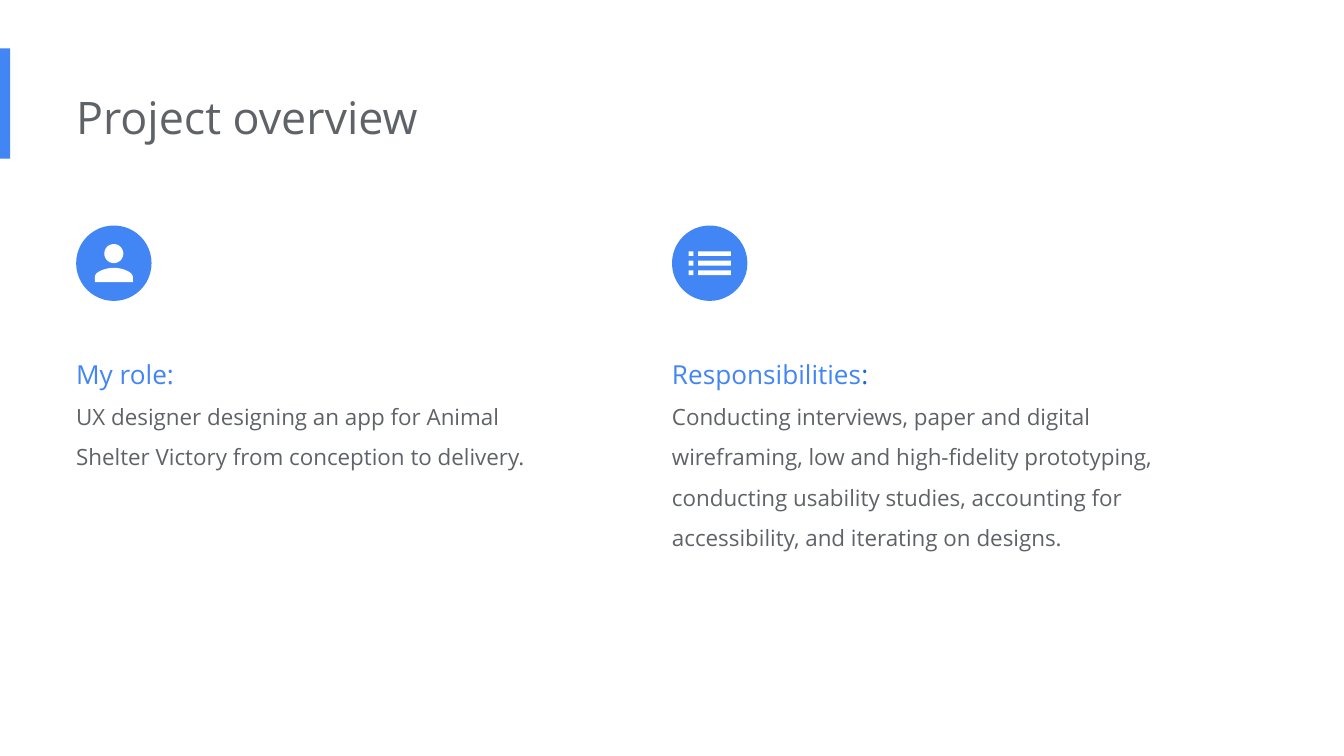
from math import cos, pi, sin

from pptx import Presentation
from pptx.dml.color import RGBColor
from pptx.enum.shapes import MSO_SHAPE
from pptx.enum.text import MSO_AUTO_SIZE
from pptx.util import Pt

BLUE, DARK_BLUE, GRAY, WHITE = "4285F4", "1967D2", "5F6368", "FFFFFF"


def color(hex_string):
    return RGBColor.from_string(hex_string)


def cubic(start, first, second, end, steps=16):
    """Points along a Bezier curve."""
    points = []
    for step in range(steps + 1):
        t = step / steps
        weights = ((1 - t) ** 3, 3 * t * (1 - t) ** 2, 3 * t * t * (1 - t), t ** 3)
        controls = (start, first, second, end)
        points.append(tuple(sum(w * c[axis] for w, c in zip(weights, controls))
                            for axis in (0, 1)))
    return points


def person_outlines():
    """Head and shoulders around the icon centre."""
    head = [(5.1 * cos(pi * i / 24), -5.1 + 5.1 * sin(pi * i / 24)) for i in range(48)]
    left = cubic((0, 2.5), (-3.4, 2.5), (-10.2, 4.2), (-10.2, 7.6))
    left.append((-10.2, 10.2))
    right = [(-x, y) for x, y in reversed(left)]
    return [head, left + right[:-1]]


def list_outlines():
    """Three rows of a bullet and a bar around the icon centre."""
    return [[(left, y - 1.27), (right, y - 1.27), (right, y + 1.27), (left, y + 1.27)]
            for y in (-5.1, 0, 5.1)
            for left, right in ((-11.3, -8.7), (-6.2, 11.4))]


class SlideWriter:
    font = "Open Sans"

    def __init__(self, slide):
        self.slide = slide

    def paint(self, shape, fill):
        shape.shadow.inherit = False
        shape.fill.solid()
        shape.fill.fore_color.rgb = color(fill)
        shape.line.fill.background()

    def shape(self, kind, left, top, width, height, fill):
        shape = self.slide.shapes.add_shape(kind, Pt(left), Pt(top), Pt(width), Pt(height))
        self.paint(shape, fill)

    def outline(self, contours, center_x, center_y, fill):
        builder = None
        for contour in contours:
            points = [(Pt(center_x + x), Pt(center_y + y)) for x, y in contour]
            if builder is None:
                builder = self.slide.shapes.build_freeform(*points[0])
            else:
                builder.move_to(*points[0])
            builder.add_line_segments(points[1:], close=True)
        self.paint(builder.convert_to_shape(), fill)

    def text(self, left, top, width, height, paragraphs, line_spacing=None):
        """Each paragraph is a size and a list of (text, colour) runs."""
        box = self.slide.shapes.add_textbox(Pt(left), Pt(top), Pt(width), Pt(height))
        frame = box.text_frame
        frame.word_wrap = True
        frame.auto_size = MSO_AUTO_SIZE.SHAPE_TO_FIT_TEXT
        frame.margin_left = 0
        frame.margin_top = frame.margin_right = frame.margin_bottom = Pt(7.2)
        for index, (size, runs) in enumerate(paragraphs):
            para = frame.add_paragraph() if index else frame.paragraphs[0]
            if line_spacing:
                para.line_spacing = line_spacing
            for words, hex_string in runs:
                span = para.add_run()
                span.text = words
                span.font.name = self.font
                span.font.size = Pt(size)
                span.font.color.rgb = color(hex_string)


def main():
    deck = Presentation()
    deck.slide_width, deck.slide_height = Pt(720), Pt(405)
    page = SlideWriter(deck.slides.add_slide(deck.slide_layouts[6]))

    # Title with accent bar
    page.shape(MSO_SHAPE.RECTANGLE, 0, 25.9, 5.5, 59.2, BLUE)
    page.text(40.8, 41, 484.6, 43.9, [(24, [("Project overview", GRAY)])])

    # Two columns: icon, heading and description
    columns = [
        (40.8, 83.5, person_outlines(), [("My role:", BLUE)],
         "UX designer designing an app for Animal Shelter Victory from conception "
         "to delivery."),
        (360, 127.4, list_outlines(), [("Responsibilities", BLUE), (":", DARK_BLUE)],
         "Conducting interviews, paper and digital wireframing, low and high-fidelity "
         "prototyping, conducting usability studies, accounting for accessibility, "
         "and iterating on designs."),
    ]
    diameter, icon_top = 40.4, 120.8
    for left, height, icon, heading, description in columns:
        page.shape(MSO_SHAPE.OVAL, left, icon_top, diameter, diameter, BLUE)
        page.outline(icon, left + diameter / 2, icon_top + diameter / 2, WHITE)
        page.text(left, 176.4, 271.4, height,
                  [(14, heading), (12, [(description, GRAY)])], line_spacing=1.5)

    deck.save("out.pptx")


if __name__ == "__main__":
    main()
